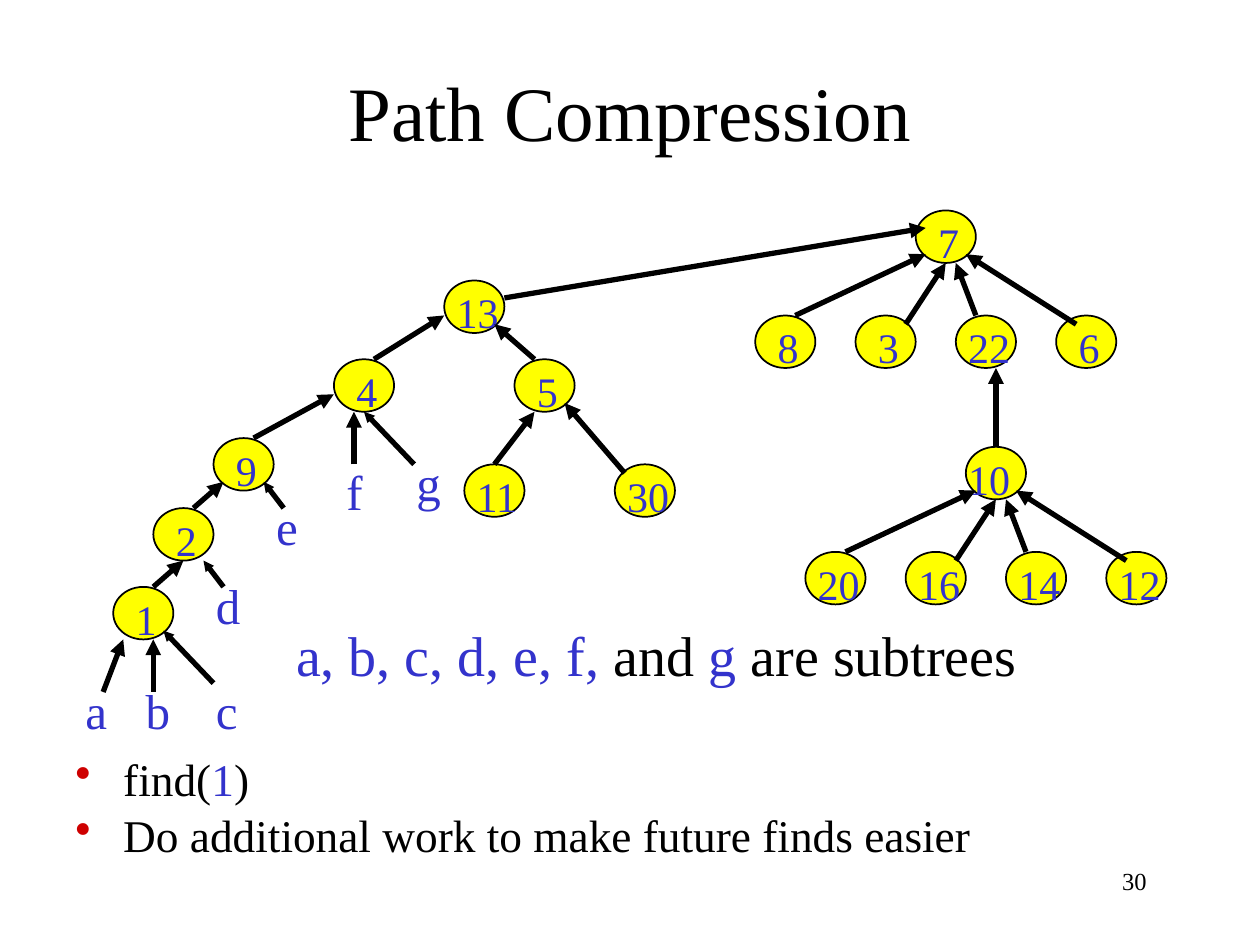
"""Build the Path Compression slide: two union-find trees joined by one link."""
from dataclasses import dataclass

from lxml.etree import SubElement
from pptx import Presentation
from pptx.dml.color import RGBColor
from pptx.enum.shapes import MSO_CONNECTOR as Connector, MSO_SHAPE as Shape
from pptx.enum.text import MSO_ANCHOR as Anchor, MSO_AUTO_SIZE as AutoSize, PP_ALIGN as Align
from pptx.oxml.ns import qn
from pptx.util import Inches, Pt


@dataclass(frozen=True)
class Theme:
    font: str = "Times New Roman"
    ink: str = "000000"
    accent: str = "3333CC"
    bullet: str = "CE0000"
    node: str = "FFFF00"
    title: float = 44
    caption: float = 32
    subtree: float = 28
    body: float = 25.9
    label: float = 24
    number: float = 14
    outline: float = 1
    arrow: float = 3


THEME = Theme()
WIDTH, HEIGHT = 10, 7.5
LEFT, TOP = 0.58, 1.67
COLUMN, ROW = 8.2 / 103, 2.71 / 39
NODE = 6

TITLE = "Path Compression"
CAPTION = [("a, b, c, d, e, f,", THEME.accent), (" and", THEME.ink),
           (" g ", THEME.accent), ("are subtrees", THEME.ink)]
BULLETS = [[("find(", THEME.ink), ("1", THEME.accent), (")", THEME.ink)],
           [("Do additional work to make future finds easier", THEME.ink)]]
NUMBER = "30"

LEFT_NODES = {"13": (37, 8), "4": (26, 17), "5": (44, 17), "9": (14, 26),
              "11": (39, 29), "30": (54, 29), "2": (8, 34), "1": (4, 43)}
LEFT_ARROWS = [((30, 17), (37, 12)), ((18, 26), (26, 21)), ((46, 17), (42, 13)),
               ((12, 34), (15, 31)), ((42, 29), (46, 23)), ((55, 30), (49, 22)),
               ((8, 43), (11, 40))]
LINKS = [((43, 10), (85, 2)), ((92, 27), (92, 18))]

FANS = [("7", ("8", "3", "22", "6"), (0, 0)),
        ("10", ("20", "16", "14", "12"), (5, 27))]
FAN_ROOT = (84, 0)
FAN_CHILD, FAN_STEP = (68, 12), 10
FAN_ARROWS = [((72, 12), (85, 5)), ((83, 13), (87, 6)),
              ((90, 12), (88, 6)), ((100, 13), (89, 5))]

SUBTREES = [("a", (0, 53), (3, 55), (5, 49), "med"),
            ("b", (6, 53), (8, 55), (8, 49), "med"),
            ("c", (13, 53), (14, 54), (9, 48), "sm"),
            ("d", (13, 41), (15, 43), (13, 40), "sm"),
            ("e", (19, 32), (21, 34), (19, 31), "sm"),
            ("f", (26, 28), (28, 29), (28, 23), "med"),
            ("g", (33, 27), (34, 29), (29, 23), "sm")]


def shift(point, offset):
    return point[0] + offset[0], point[1] + offset[1]


def place(point):
    return Inches(LEFT + point[0] * COLUMN), Inches(TOP + point[1] * ROW)


def span(columns, rows):
    return Inches(columns * COLUMN), Inches(rows * ROW)


def share(left, top, width, height):
    return (Inches(left * WIDTH), Inches(top * HEIGHT),
            Inches(width * WIDTH), Inches(height * HEIGHT))


def add_bullet(paragraph):
    properties = paragraph._p.get_or_add_pPr()
    properties.set("marL", str(Inches(0.38)))
    properties.set("indent", str(-Inches(0.38)))
    color = SubElement(properties, qn("a:buClr"))
    SubElement(color, qn("a:srgbClr"), val=THEME.bullet)
    SubElement(properties, qn("a:buChar"), char="•")


def write(shape, paragraphs, *, size, align=Align.LEFT, anchor=Anchor.TOP,
          spacing=None, gap=0, bullets=False):
    frame = shape.text_frame
    frame.word_wrap = True
    frame.auto_size = AutoSize.NONE
    frame.vertical_anchor = anchor
    for index, runs in enumerate(paragraphs):
        paragraph = frame.add_paragraph() if index else frame.paragraphs[0]
        if bullets:
            add_bullet(paragraph)
        paragraph.alignment = align
        paragraph.line_spacing = spacing
        paragraph.space_before = Pt(gap if index else 0)
        for text, color in runs:
            run = paragraph.add_run()
            run.text = text
            run.font.name = THEME.font
            run.font.size = Pt(size)
            run.font.color.rgb = RGBColor.from_string(color)


def add_text(slide, box, paragraphs, **style):
    write(slide.shapes.add_textbox(*box), paragraphs, **style)


def add_node(slide, label, point):
    shape = slide.shapes.add_shape(Shape.OVAL, *place(point), *span(NODE, NODE))
    shape.shadow.inherit = False
    shape.fill.solid()
    shape.fill.fore_color.rgb = RGBColor.from_string(THEME.node)
    shape.line.color.rgb = RGBColor.from_string(THEME.ink)
    shape.line.width = Pt(THEME.outline)
    inset, columns = (1, 4) if len(label) == 1 else (0, 9)
    if label == "10":
        inset = -1
    box = (*place(shift(point, (inset, 0))), *span(columns, 7))
    add_text(slide, box, [[(label, THEME.accent)]], size=THEME.label)


def add_arrow(slide, start, tip, head="med"):
    arrow = slide.shapes.add_connector(Connector.STRAIGHT, *place(start), *place(tip))
    arrow.line.color.rgb = RGBColor.from_string(THEME.ink)
    arrow.line.width = Pt(THEME.arrow)
    SubElement(arrow.line._get_or_add_ln(), qn("a:tailEnd"), type="triangle", w=head, len=head)
    SubElement(arrow._element.spPr, qn("a:effectLst"))


def add_fan(slide, root, children, offset):
    add_node(slide, root, shift(FAN_ROOT, offset))
    for index, child in enumerate(children):
        point = shift(FAN_CHILD, (index * FAN_STEP, 0))
        add_node(slide, child, shift(point, offset))
    for start, tip in FAN_ARROWS:
        add_arrow(slide, shift(start, offset), shift(tip, offset))


def main():
    presentation = Presentation()
    presentation.slide_width, presentation.slide_height = Inches(WIDTH), Inches(HEIGHT)
    slide = presentation.slides.add_slide(presentation.slide_layouts[5])

    title = slide.shapes.title
    title.left, title.top, title.width, title.height = share(0.075, 1 / 30, 0.85, 1 / 6)
    write(title, [[(TITLE, THEME.ink)]], size=THEME.title,
          align=Align.CENTER, anchor=Anchor.MIDDLE)
    add_text(slide, share(0.05, 0.8, 0.89, 0.12), BULLETS, size=THEME.body,
             spacing=0.8, gap=7, bullets=True)

    for label, point in LEFT_NODES.items():
        add_node(slide, label, point)
    for root, children, offset in FANS:
        add_fan(slide, root, children, offset)
    for start, tip in LEFT_ARROWS + LINKS:
        add_arrow(slide, start, tip)
    for label, point, start, tip, head in SUBTREES:
        add_text(slide, (*place(point), *span(7, 8)), [[(label, THEME.accent)]],
                 size=THEME.subtree)
        add_arrow(slide, start, tip, head)

    add_text(slide, (*place((21, 47)), *span(82, 20)), [CAPTION],
             size=THEME.caption, spacing=0.9)
    add_text(slide, share(0.72, 0.91, 0.2, 0.07), [[(NUMBER, THEME.ink)]],
             size=THEME.number, align=Align.RIGHT)
    presentation.save("out.pptx")


if __name__ == "__main__":
    main()
